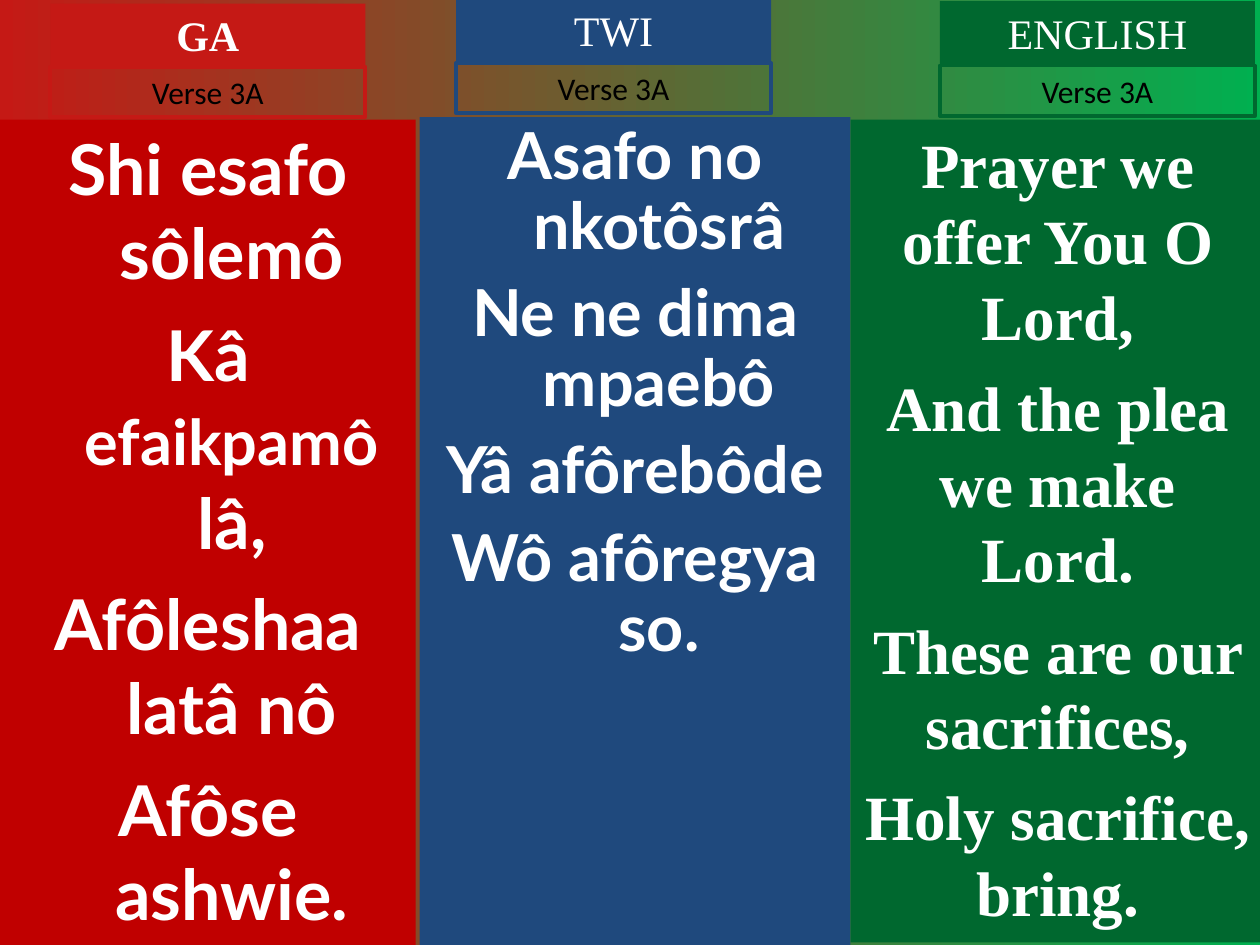
from pptx import Presentation
from pptx.dml.color import RGBColor
from pptx.enum import shapes, text
from pptx.util import Inches, Pt


def color(value):
    """Turn a hex string into a colour."""
    return RGBColor.from_string(value)


def add_panel(slide, box, fill=None, line=None):
    """Add a flat rectangle ready for top-anchored wrapped text."""
    panel = slide.shapes.add_shape(shapes.MSO_SHAPE.RECTANGLE, *map(Inches, box))
    panel.shadow.inherit = False
    if fill:
        panel.fill.solid()
        panel.fill.fore_color.rgb = color(fill)
    else:
        panel.fill.background()
    if line:
        panel.line.color.rgb = color(line)
        panel.line.width = Pt(2.25)
    else:
        panel.line.fill.background()
    panel.text_frame.word_wrap = True
    panel.text_frame.vertical_anchor = text.MSO_ANCHOR.TOP
    return panel


def add_words(paragraph, words, face, size, ink="FFFFFF", bold=False):
    """Append one formatted run to a centred paragraph."""
    paragraph.alignment = text.PP_ALIGN.CENTER
    run = paragraph.add_run()
    run.text = words
    run.font.name = face
    run.font.size = Pt(size)
    run.font.bold = bold
    run.font.color.rgb = color(ink)


def add_heading(slide, left, top, verse_top, language, tint, bold):
    """Place a language label with its verse label below."""
    label = add_panel(slide, (left, top, 2.5, 0.5), fill=tint)
    add_words(label.text_frame.paragraphs[0], language, "Times New Roman", 24, bold=bold)
    verse = add_panel(slide, (left, verse_top, 2.5, 0.4), line=tint)
    add_words(verse.text_frame.paragraphs[0], "Verse 3A", "Calibri", 18, ink="000000")


def add_lyrics(slide, box, tint, lines, face, gap, spacing, hanging):
    """Fill a column with lyric lines given as lists of (words, size)."""
    frame = add_panel(slide, box, fill=tint).text_frame
    for index, pieces in enumerate(lines):
        lyric = frame.add_paragraph() if index else frame.paragraphs[0]
        lyric.space_before = Pt(gap if index else 0)
        lyric.line_spacing = spacing
        if hanging:
            properties = lyric._p.get_or_add_pPr()
            properties.set("marL", str(Inches(hanging)))
            properties.set("indent", str(-Inches(hanging)))
        for words, size in pieces:
            add_words(lyric, words, face, size, bold=True)


def one_size(size, *lines):
    """Give every lyric line the same text size."""
    return [[(line, size)] for line in lines]


def main():
    """Build the three-language hymn slide."""
    deck = Presentation()
    deck.slide_width, deck.slide_height = Inches(10), Inches(7.5)
    slide = deck.slides.add_slide(deck.slide_layouts[6])
    backdrop = slide.background.fill
    backdrop.gradient()
    backdrop.gradient_angle = 0
    for stop, tint, position in zip(backdrop.gradient_stops, ("C51915", "00B050"), (0, 1)):
        stop.color.rgb = color(tint)
        stop.position = position

    ga = one_size(40, "Shi esafo sôlemô", "Afôleshaa latâ nô", "Afôse ashwie.")
    ga.insert(1, [("Kâ ", 40), ("efaikpamô", 36), (" lâ,", 40)])
    twi = one_size(37, "Asafo no nkotôsrâ", "Ne ne dima mpaebô", "Yâ afôrebôde", "Wô afôregya so.")
    english = one_size(36, "Prayer we offer You O Lord,", "And the plea we make Lord.",
                       "These are our sacrifices,", "Holy sacrifice, bring.")

    add_lyrics(slide, (0, 0.95, 3.3, 6.55), "C00000", ga, "Lato", 10, 1.0, 0.38)
    add_lyrics(slide, (3.33, 0.93, 3.42, 6.57), "1F497D", twi, "Lato", 10, 0.9, 0.38)
    add_lyrics(slide, (6.75, 0.95, 3.29, 6.53), "00682F", english, "Times New Roman", 9, 1.0, 0)

    add_heading(slide, 0.4, 0.03, 0.53, "GA", "C51915", True)
    add_heading(slide, 3.62, -0.01, 0.5, "TWI", "1F497D", False)
    add_heading(slide, 7.46, 0.01, 0.52, "ENGLISH", "00682F", False)
    deck.save("out.pptx")


if __name__ == "__main__":
    main()
